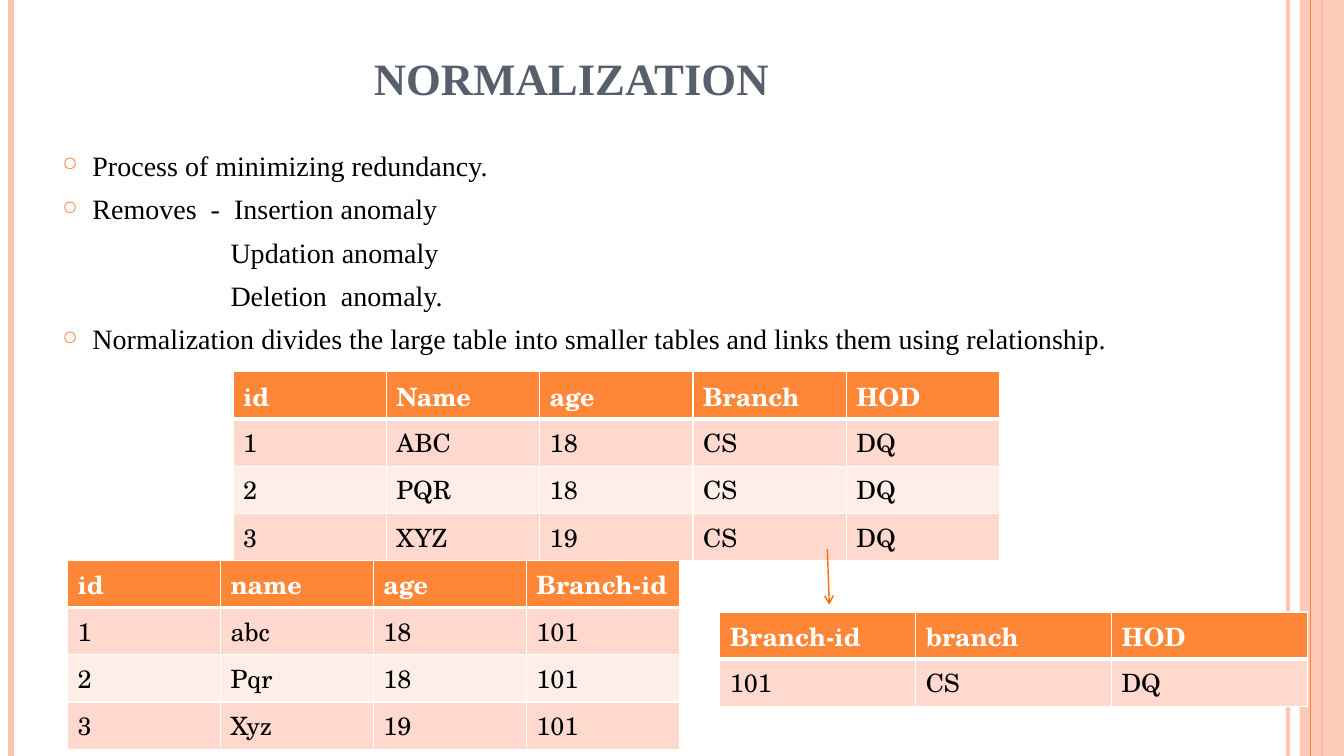
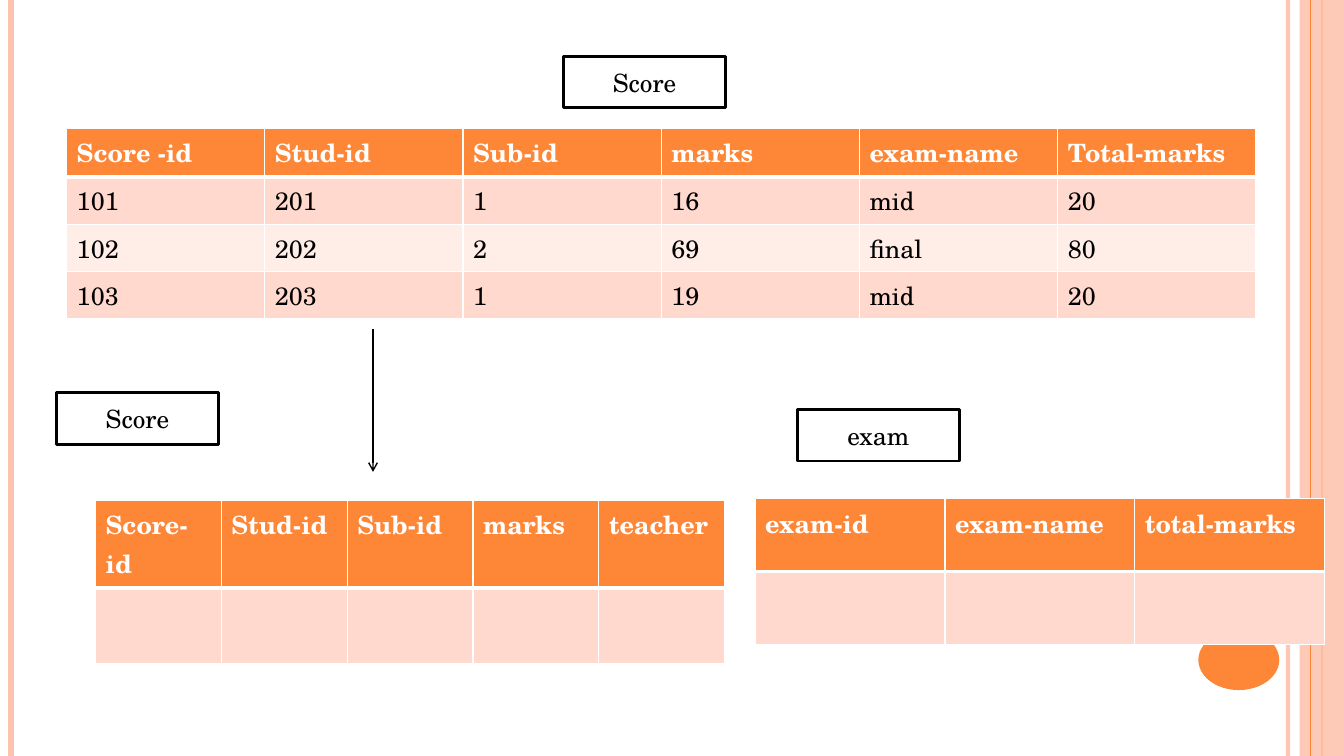
"""Build two slides on database normalization."""
from lxml import etree
from pptx import Presentation
from pptx import util as u
from pptx.dml.color import RGBColor
from pptx.enum import shapes, text
from pptx.oxml.ns import qn

WHITE = RGBColor(0xFF, 0xFF, 0xFF)
BLACK = RGBColor(0x00, 0x00, 0x00)
SLATE = RGBColor(0x57, 0x5F, 0x6D)
ORANGE = RGBColor(0xFE, 0x86, 0x37)
FLAME = RGBColor(0xFF, 0x6B, 0x0A)
PEACH = RGBColor(0xFE, 0xC3, 0xAE)
BLUSH = RGBColor(0xFF, 0xD9, 0xCE)
PALE = RGBColor(0xFF, 0xED, 0xE8)
SERIF = "Times New Roman"
SCHOOL = "TeX Gyre Schola"
WIDE, HIGH = 33.87, 19.05
ROW = 1.19


def node(parent, tag, **attrs):
    """Append a drawing element and return it."""
    return etree.SubElement(parent, qn("a:" + tag), attrs)


def cms(*nums):
    """Turn numbers into centimetre lengths."""
    return [u.Cm(num) for num in nums]


def style(para, font, size, color, bold=False):
    """Format every run of a paragraph."""
    for run in para.runs:
        run.font.name = font
        run.font.size = u.Pt(size)
        run.font.color.rgb = color
        run.font.bold = bold


def fade(shape, share):
    """Make the colours of a shape partly see-through."""
    for color in list(shape._element.spPr.iter(qn("a:srgbClr"))):
        node(color, "alpha", val=str(share * 1000))


def rule(slide, ends, color, width, arrow=False):
    """Draw a straight line, with an arrowhead if asked."""
    line = slide.shapes.add_connector(shapes.MSO_CONNECTOR.STRAIGHT, *cms(*ends))
    line.line.color.rgb = color
    line.line.width = u.Pt(width)
    if arrow:
        node(line.line._get_or_add_ln(), "tailEnd", type="arrow")
    node(line._element.spPr, "effectLst")
    return line


def block(slide, kind, box, fill):
    """Draw a plain filled shape without outline."""
    shape = slide.shapes.add_shape(kind, *cms(*box))
    shape.shadow.inherit = False
    shape.fill.solid()
    shape.fill.fore_color.rgb = fill
    shape.line.fill.background()
    return shape


def frame(slide, box):
    """Draw the side bands and the disc shared by all slides."""
    left, top, width, height = box
    right, base = left + width, top + height

    def band(x, color, size):
        return rule(slide, (x, top, x, base), color, size)

    fade(band(right - 1.41, PEACH, 3), 93)
    band(left + 0.28, PEACH, 4.5)
    band(right - 0.56, ORANGE, 1.5)
    strip = block(slide, shapes.MSO_SHAPE.RECTANGLE, (right - 1.12, top, 1.12, height), PEACH)
    fade(strip, 87)
    band(right - 0.84, ORANGE, 0.75)
    block(slide, shapes.MSO_SHAPE.OVAL, (right - 3.67, base - 3.18, 2.04, 1.52), ORANGE)


def title(slide, box, words):
    """Place the slide title at the foot of its box."""
    area = slide.shapes.add_textbox(*cms(*box)).text_frame
    area.word_wrap = True
    area.vertical_anchor = text.MSO_ANCHOR.BOTTOM
    area.text = words
    style(area.paragraphs[0], SERIF, 32, SLATE, True)


def points(slide, box, items):
    """List the points; those marked as nested stand deeper without a bullet."""
    area = slide.shapes.add_textbox(*cms(*box)).text_frame
    area.word_wrap = True
    for i, (words, nested) in enumerate(items):
        para = area.add_paragraph() if i else area.paragraphs[0]
        para.text = words
        props = para._p.get_or_add_pPr()
        props.set("marL", str(u.Cm(4.24 if nested else 0.76)))
        props.set("indent", str(u.Cm(0 if nested else -0.76)))
        if i:
            para.space_before = u.Pt(7)
        if nested:
            node(props, "buNone")
        else:
            node(node(props, "buClr"), "srgbClr", val=str(ORANGE))
            node(props, "buSzPct", val="70000")
            node(props, "buChar", char="○")
        style(para, SERIF, 20, BLACK)


def edge(cell, row):
    """Give a cell white borders, thicker under the header."""
    props = cell._tc.get_or_add_tcPr()
    for tag in ("lnL", "lnR", "lnT", "lnB"):
        thick = (row, tag) in ((0, "lnB"), (1, "lnT"))
        line = node(props, tag, w=str(u.Pt(3 if thick else 1)))
        node(node(line, "solidFill"), "srgbClr", val=str(WHITE))


def grid(slide, box, rows):
    """Draw a table with equal columns and rows that fill its box."""
    count = len(rows[0])
    table = slide.shapes.add_table(len(rows), count, *cms(*box)).table
    table.horz_banding = False
    for col in table.columns:
        col.width = u.Cm(box[2] / count)
    for i, row in enumerate(rows):
        table.rows[i].height = u.Cm(box[3] / len(rows))
        for j, words in enumerate(row):
            cell = table.cell(i, j)
            edge(cell, i)
            cell.fill.solid()
            cell.fill.fore_color.rgb = (BLUSH if i % 2 else PALE) if i else ORANGE
            cell.text = words
            style(cell.text_frame.paragraphs[0], SCHOOL, 18, BLACK if i else WHITE, not i)


def label(slide, left, top, words):
    """Draw a boxed table name."""
    box = (left, top, 4.09, 1.3)
    shape = block(slide, shapes.MSO_SHAPE.RECTANGLE, box, WHITE)
    shape.line.color.rgb = BLACK
    shape.line.width = u.Pt(2)
    area = shape.text_frame
    area.text = words
    area.vertical_anchor = text.MSO_ANCHOR.MIDDLE
    area.paragraphs[0].alignment = text.PP_ALIGN.CENTER
    style(area.paragraphs[0], SCHOOL, 18, BLACK)


def normal(slide, box):
    """Fill the slide that explains normalization."""
    x, y = box[:2]
    title(slide, (x + 9.17, y + 1.02, 20, 1.75), "NORMALIZATION")
    points(slide, (x + 1.32, y + 3.61, 30.23, 5.6), [
        ("Process of minimizing redundancy.", False),
        ("Removes  -  Insertion anomaly", False),
        ("Updation anomaly", True),
        ("Deletion  anomaly.", True),
        ("Normalization divides the large table into smaller tables "
         "and links them using relationship.", False),
    ])
    grid(slide, (x + 5.87, y + 9.37, 19.33, 4 * ROW), [
        ("id", "Name", "age", "Branch", "HOD"),
        ("1", "ABC", "18", "CS", "DQ"),
        ("2", "PQR", "18", "CS", "DQ"),
        ("3", "XYZ", "19", "CS", "DQ"),
    ])
    grid(slide, (x + 1.7, y + 14.12, 15.42, 4 * ROW), [
        ("id", "name", "age", "Branch-id"),
        ("1", "abc", "18", "101"),
        ("2", "Pqr", "18", "101"),
        ("3", "Xyz", "19", "101"),
    ])
    grid(slide, (x + 18.14, y + 15.42, 14.81, 2 * ROW), [
        ("Branch-id", "branch", "HOD"),
        ("101", "CS", "DQ"),
    ])
    rule(slide, (x + 20.85, y + 13.84, x + 20.9, y + 15.24), FLAME, 1, True)


def score(slide, box):
    """Fill the slide that splits the score table."""
    x, y = box[:2]
    grid(slide, (x + 1.68, y + 3.23, 29.97, 4 * ROW), [
        ("Score -id", "Stud-id", "Sub-id", "marks", "exam-name", "Total-marks"),
        ("101", "201", "1", "16", "mid", "20"),
        ("102", "202", "2", "69", "final", "80"),
        ("103", "203", "1", "19", "mid", "20"),
    ])
    grid(slide, (x + 2.41, y + 12.6, 15.85, 3.78), [
        ("Score-id", "Stud-id", "Sub-id", "marks", "teacher"),
        ("",) * 5,
    ])
    label(slide, x + 1.42, y + 9.9, "Score")
    label(slide, x + 14.2, y + 1.42, "Score")
    rule(slide, (x + 9.4, y + 8.28, x + 9.4, y + 11.89), BLACK, 1, True)
    grid(slide, (x + 19.03, y + 12.56, 14.35, 3.68), [
        ("exam-id", "exam-name", "total-marks"),
        ("",) * 3,
    ])
    label(slide, x + 20.09, y + 10.32, "exam")


def main():
    """Build and save the deck."""
    deck = Presentation()
    deck.slide_width, deck.slide_height = cms(WIDE, HIGH)
    box = (0, 0, WIDE, HIGH)
    for fill in (normal, score):
        slide = deck.slides.add_slide(deck.slide_layouts[6])
        frame(slide, box)
        fill(slide, box)
    deck.save("out.pptx")


if __name__ == "__main__":
    main()
